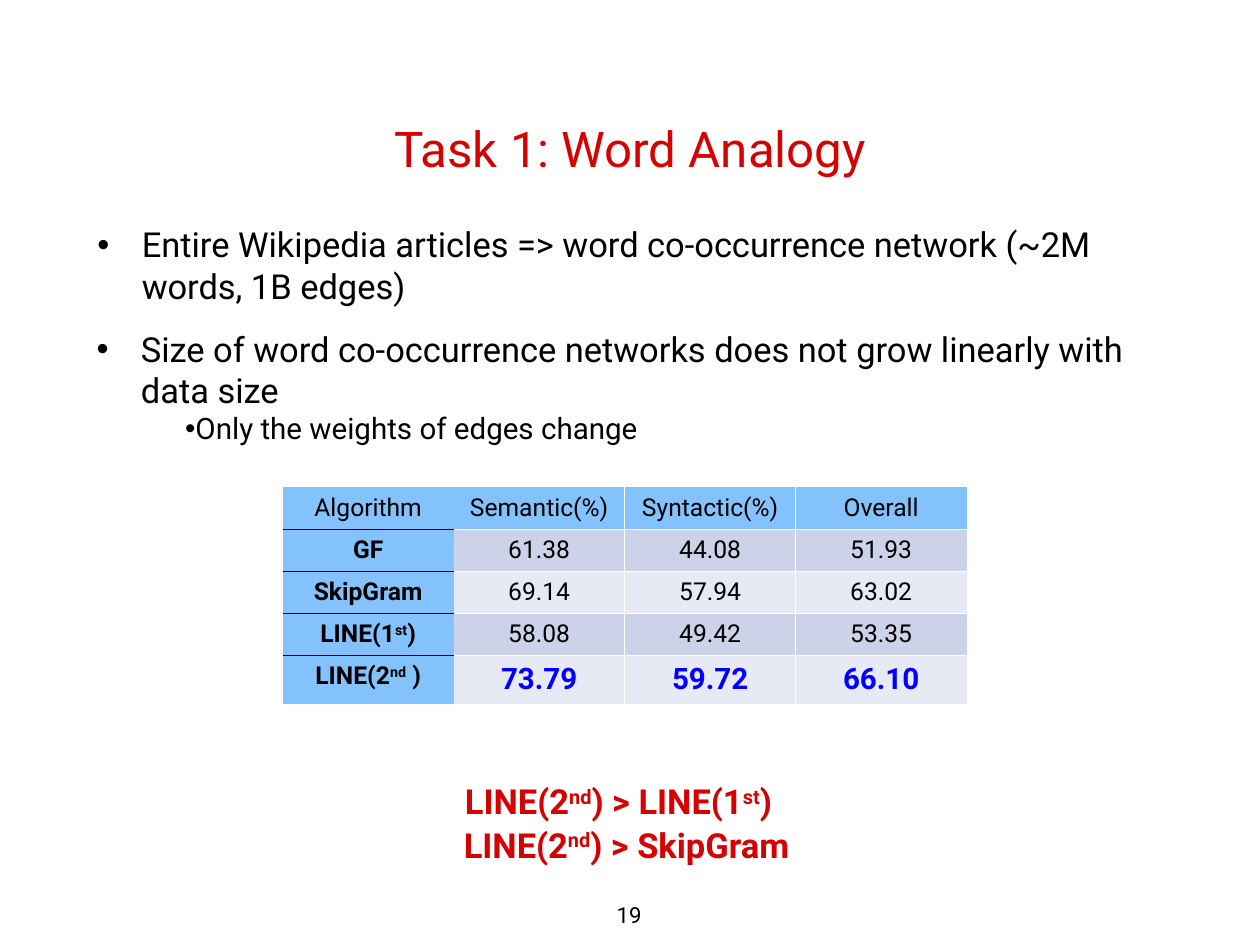
from lxml import etree
from pptx import Presentation
from pptx.dml import color
from pptx.enum import text
from pptx.oxml import ns
from pptx.util import Inches, Pt

RED, BLACK, BLUE, WHITE = "D50202", "000000", "0000FF", "FFFFFF"
HEADER, BANDS = "83C2FD", ("CCD3E8", "E7EAF4")
SCORES = [
    ["Algorithm", "Semantic(%)", "Syntactic(%)", "Overall"],
    ["GF", "61.38", "44.08", "51.93"],
    ["SkipGram", "69.14", "57.94", "63.02"],
    ["LINE(1^st^)", "58.08", "49.42", "53.35"],
    ["LINE(2^nd^ )", "73.79", "59.72", "66.10"],
]


def rgb(value):
    """Turn a hex string into a colour."""
    return color.RGBColor.from_string(value)


def write(paragraph, words, size, ink=BLACK, bold=False, align=text.PP_ALIGN.CENTER):
    """Add runs to a paragraph; words between carets are superscript."""
    paragraph.alignment = align
    paragraph.space_before = Pt(0)
    for position, part in enumerate(words.split("^")):
        run = paragraph.add_run()
        run.text = part
        run.font.name, run.font.size, run.font.bold = "Roboto", Pt(size), bold
        run.font.color.rgb = rgb(ink)
        if position % 2:
            run._r.get_or_add_rPr().set("baseline", "30000")


def place(shape, box, side, edge, anchor):
    """Move a shape to its box and set its margins and anchor."""
    shape.left, shape.top, shape.width, shape.height = map(Inches, box)
    frame = shape.text_frame
    frame.margin_left = frame.margin_right = Inches(side)
    frame.margin_top = frame.margin_bottom = Inches(edge)
    frame.vertical_anchor = anchor
    frame.word_wrap = True
    frame.auto_size = text.MSO_AUTO_SIZE.NONE
    return frame


def add_title(title, box):
    """Fill the title placeholder."""
    frame = place(title, box, 0.06, 0.06, text.MSO_ANCHOR.MIDDLE)
    write(frame.paragraphs[0], "Task 1: Word Analogy", 40, RED)


def add_points(body, box, points, side, edge, anchor):
    """Fill a body placeholder with (words, size, first-line indent) points."""
    frame = place(body, box, side, edge, anchor)
    for order, (words, size, indent) in enumerate(points):
        paragraph = frame.add_paragraph() if order else frame.paragraphs[0]
        properties = paragraph._p.get_or_add_pPr()
        properties.set("marL", str(Inches(0.5)))
        properties.set("indent", str(Inches(indent)))
        etree.SubElement(properties, ns.qn("a:buChar")).set("char", "•")
        write(paragraph, words, size, align=text.PP_ALIGN.LEFT)


def add_label(slide, box, words, size, ink=BLACK, bold=False):
    """Add one centred line in a box with room to spare."""
    frame = place(slide.shapes.add_textbox(0, 0, 0, 0), box, 0.06, 0.06, text.MSO_ANCHOR.TOP)
    write(frame.paragraphs[0], words, size, ink, bold)


def rule_cell(cell, row, column):
    """Draw the inner rules of the table around one cell."""
    last_row, last_column = len(SCORES) - 1, len(SCORES[0]) - 1
    shown = {"L": column > 1, "R": 0 < column < last_column, "T": row > 0, "B": row < last_row}
    for side, visible in shown.items():
        line = etree.SubElement(cell._tc.get_or_add_tcPr(), ns.qn(f"a:ln{side}"), w=str(Pt(1)))
        if visible:
            fill = etree.SubElement(line, ns.qn("a:solidFill"))
            etree.SubElement(fill, ns.qn("a:srgbClr"), val=WHITE if column else BLACK)
        else:
            etree.SubElement(line, ns.qn("a:noFill"))


def add_scores(slide, box):
    """Add the table of scores, with the best row highlighted."""
    rows, columns = len(SCORES), len(SCORES[0])
    scores = slide.shapes.add_table(rows, columns, *map(Inches, box)).table
    for row, values in enumerate(SCORES):
        for column, words in enumerate(values):
            cell = scores.cell(row, column)
            cell.margin_left = cell.margin_right = Inches(0.11)
            cell.margin_top = cell.margin_bottom = Inches(0.07)
            rule_cell(cell, row, column)
            cell.fill.solid()
            heading = row == 0 or column == 0
            cell.fill.fore_color.rgb = rgb(HEADER if heading else BANDS[(row - 1) % 2])
            best = row == rows - 1 and column > 0
            bold = best or (column == 0 and row > 0)
            write(cell.text_frame.paragraphs[0], words, 24 if best else 20, BLUE if best else BLACK, bold)
    scores.rows[rows - 1].height = Inches(0.54)


def main():
    """Build the slide and save it."""
    deck = Presentation()
    deck.slide_width, deck.slide_height = Inches(14.22), Inches(10.67)
    slide = deck.slides.add_slide(deck.slide_layouts[3])
    title, network, growth = list(slide.placeholders)[:3]
    add_title(title, (1.04, 0.49, 12.14, 2.36))
    add_points(network, (1.04, 2.4, 12.14, 1.18), [
        ("Entire Wikipedia articles => word co-occurrence network (~2M words, 1B edges)", 28, -0.5),
    ], 0.06, 0.06, text.MSO_ANCHOR.MIDDLE)
    add_points(growth, (0.99, 3.65, 11.8, 1.45), [
        ("Size of word co-occurrence networks does not grow linearly with data size", 28, -0.5),
        ("Only the weights of edges change", 24, 0.5),
    ], 0.1, 0.05, text.MSO_ANCHOR.TOP)
    add_scores(slide, (3.19, 5.5, 7.72, 2.38))
    add_label(slide, (4.98, 8.75, 4, 0.59), "LINE(2^nd^) > LINE(1^st^)", 28, RED, True)
    add_label(slide, (5.07, 9.24, 4, 0.59), "LINE(2^nd^) > SkipGram", 28, RED, True)
    add_label(slide, (6.7, 10.12, 0.8, 0.42), "19", 18)
    deck.save("out.pptx")


if __name__ == "__main__":
    main()
